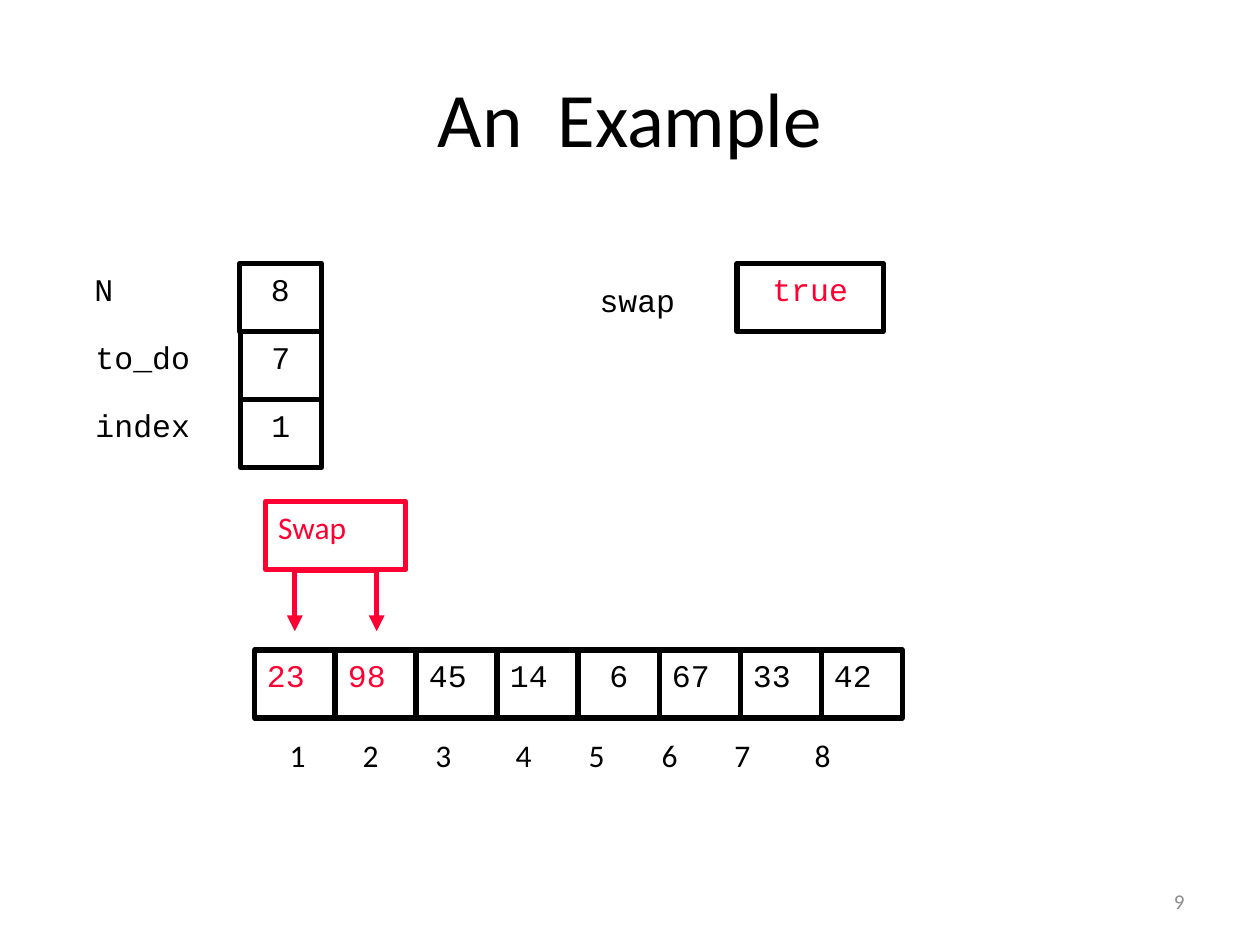
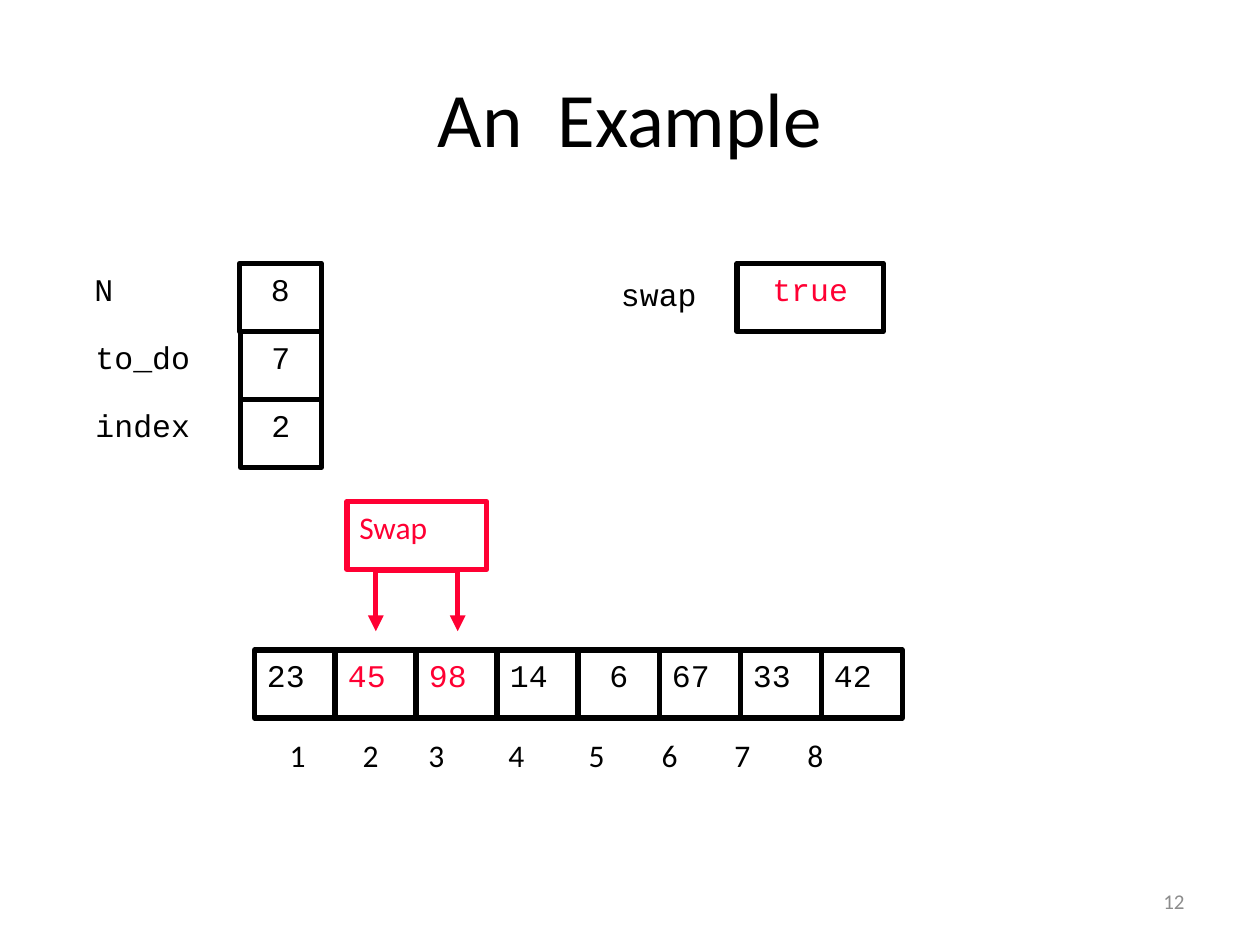
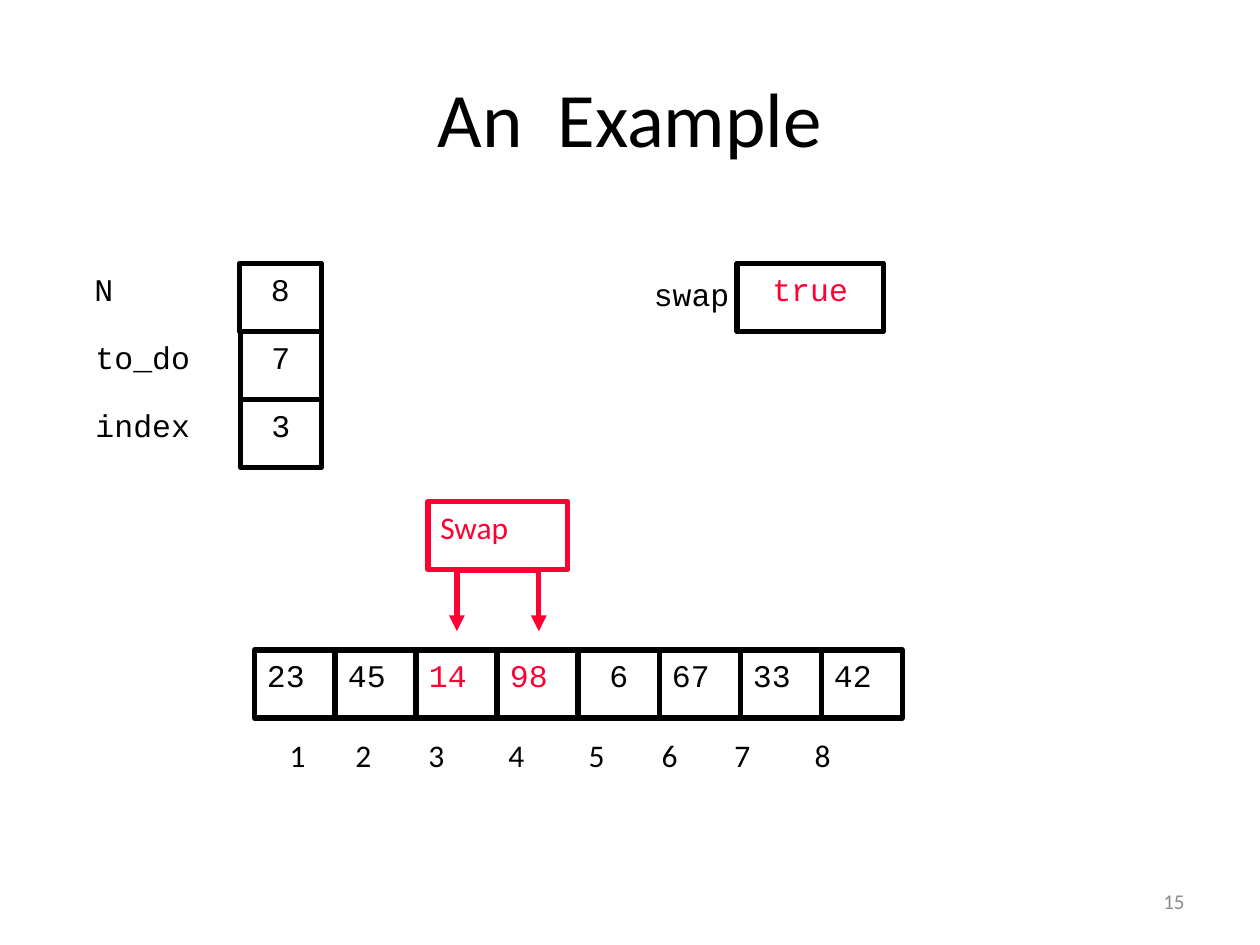
from itertools import accumulate
from lxml.etree import SubElement
from pptx import Presentation
from pptx.dml.color import RGBColor
from pptx.enum.shapes import MSO_CONNECTOR, MSO_SHAPE
from pptx.enum.text import MSO_ANCHOR, PP_ALIGN
from pptx.oxml.ns import qn
from pptx.util import Inches, Pt

COLORS = {"ink": "000000", "hot": "FF0033", "page": "8C8C8C"}
SANS, MONO = "Calibri", "Courier New"
LEFT, MID, RIGHT = PP_ALIGN.LEFT, PP_ALIGN.CENTER, PP_ALIGN.RIGHT

CELL_W, CELL_H = 0.64, 0.54
ROW_X, ROW_Y, STEP = 2.02, 5.16, 0.643
DIGIT, SPACE = 0.127, 0.0565  # glyph widths of 18 pt Calibri

# page, index, array, gaps between the indices in spaces, place of "swap"
STEPS = [
    (9, 1, [23, 98, 45, 14, 6, 67, 33, 42], [8, 8, 9, 8, 8, 8, 9], (4.66, 2.18)),
    (12, 2, [23, 45, 98, 14, 6, 67, 33, 42], [8, 7, 9, 9, 8, 8, 8], (4.83, 2.13)),
    (15, 3, [23, 45, 14, 98, 6, 67, 33, 42], [7, 8, 9, 9, 8, 8, 9], (5.09, 2.13)),
]


def color(name):
    return RGBColor.from_string(COLORS[name])


def write(shape, text, font=MONO, size=18, ink="ink", align=LEFT,
          anchor=MSO_ANCHOR.TOP):
    frame = shape.text_frame
    frame.word_wrap = True
    frame.vertical_anchor = anchor
    frame.text = str(text)
    para = frame.paragraphs[0]
    para.alignment = align
    para.font.name = font
    para.font.size = Pt(size)
    para.font.color.rgb = color(ink)
    return para


def label(slide, text, x, y, w, h=0.4, **style):
    box = slide.shapes.add_textbox(Inches(x), Inches(y), Inches(w), Inches(h))
    return write(box, text, **style)


def cell(slide, text, x, y, w=CELL_W, edge="ink", **style):
    box = slide.shapes.add_shape(MSO_SHAPE.RECTANGLE, Inches(x), Inches(y),
                                 Inches(w), Inches(CELL_H))
    box.shadow.inherit = False
    box.fill.background()
    box.line.color.rgb = color(edge)
    box.line.width = Pt(3)
    write(box, text, **style)


def line(slide, x1, y1, x2, y2, arrow=False):
    link = slide.shapes.add_connector(MSO_CONNECTOR.STRAIGHT, Inches(x1),
                                      Inches(y1), Inches(x2), Inches(y2))
    link.line.color.rgb = color("hot")
    link.line.width = Pt(3)
    if arrow:
        SubElement(link.line._get_or_add_ln(), qn("a:headEnd"), type="triangle")
    SubElement(link._element.spPr, qn("a:effectLst"))


def heading(slide):
    title = slide.shapes.title
    title.left, title.top = Inches(0.5), Inches(0.3)
    title.width, title.height = Inches(9), Inches(1.25)
    write(title, "An  Example", SANS, 44, align=MID, anchor=MSO_ANCHOR.MIDDLE)


def array(slide, values, index):
    for i, value in enumerate(values):
        cell(slide, value, ROW_X + i * STEP, ROW_Y,
             ink="hot" if i in (index - 1, index) else "ink",
             align=MID if value < 10 else LEFT)


def indices(slide, gaps):
    text = "\t".join(str(n + 1) for n in range(len(gaps) + 1))
    para = label(slide, text, 2.2, 5.79, 4.82, font=SANS)
    tabs = SubElement(para._p.get_or_add_pPr(), qn("a:tabLst"))
    # The tab list comes before the default run properties
    para._p.pPr.insert(0, tabs)
    for stop in accumulate(DIGIT + SPACE * gap for gap in gaps):
        SubElement(tabs, qn("a:tab"), pos=str(Inches(stop)), algn="l")


def state(slide, index, place):
    for i, (name, value) in enumerate([("N", 8), ("to_do", 7), ("index", index)]):
        y = 2.09 + i * CELL_H
        nudge = 0 if i else 0.01
        label(slide, name, 0.66 - nudge, y, 1.2, 0.5)
        cell(slide, value, 1.91 - nudge, y, CELL_W + nudge, align=MID)
    label(slide, "swap", *place, 1.41)
    cell(slide, "true", 5.85, 2.09, 1.16, ink="hot", align=MID)


def swap(slide, index):
    shift = (index - 1) * STEP
    x1 = 2.34 + shift
    x2 = x1 + 0.65
    for x in (x1, x2):
        line(slide, x, 5.01, x, 4.53, arrow=True)
    line(slide, x1, 4.53, x2, 4.53)
    cell(slide, "Swap", 2.11 + shift, 3.98, 1.11, edge="hot", font=SANS, ink="hot")


def main():
    deck = Presentation()
    deck.slide_width, deck.slide_height = Inches(10), Inches(7.5)
    for page, index, values, gaps, place in STEPS:
        slide = deck.slides.add_slide(deck.slide_layouts[5])
        heading(slide)
        array(slide, values, index)
        indices(slide, gaps)
        state(slide, index, place)
        swap(slide, index)
        label(slide, page, 7.17, 6.95, 2.33, font=SANS, size=12, ink="page",
              align=RIGHT, anchor=MSO_ANCHOR.MIDDLE)
    deck.save("out.pptx")


main()
